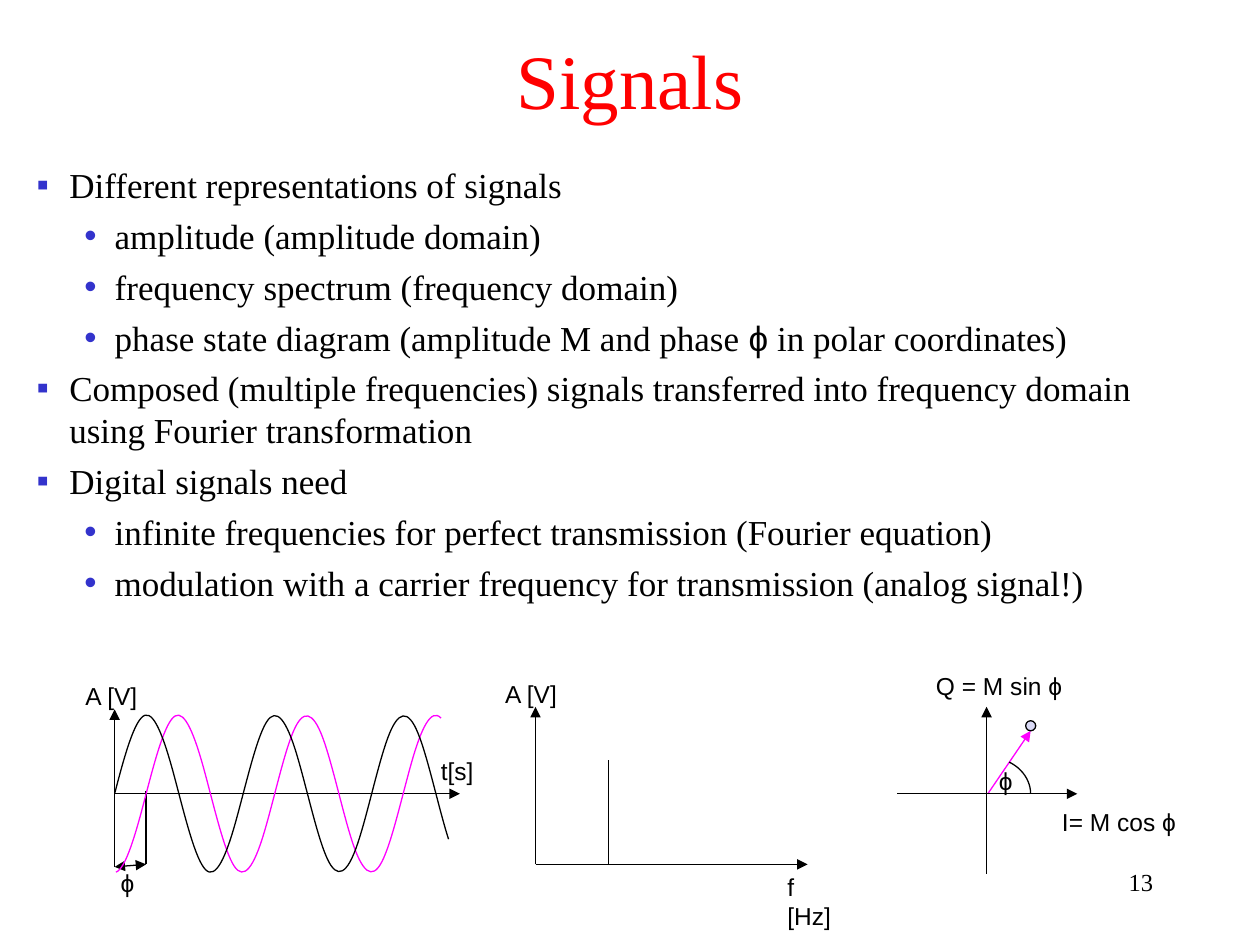
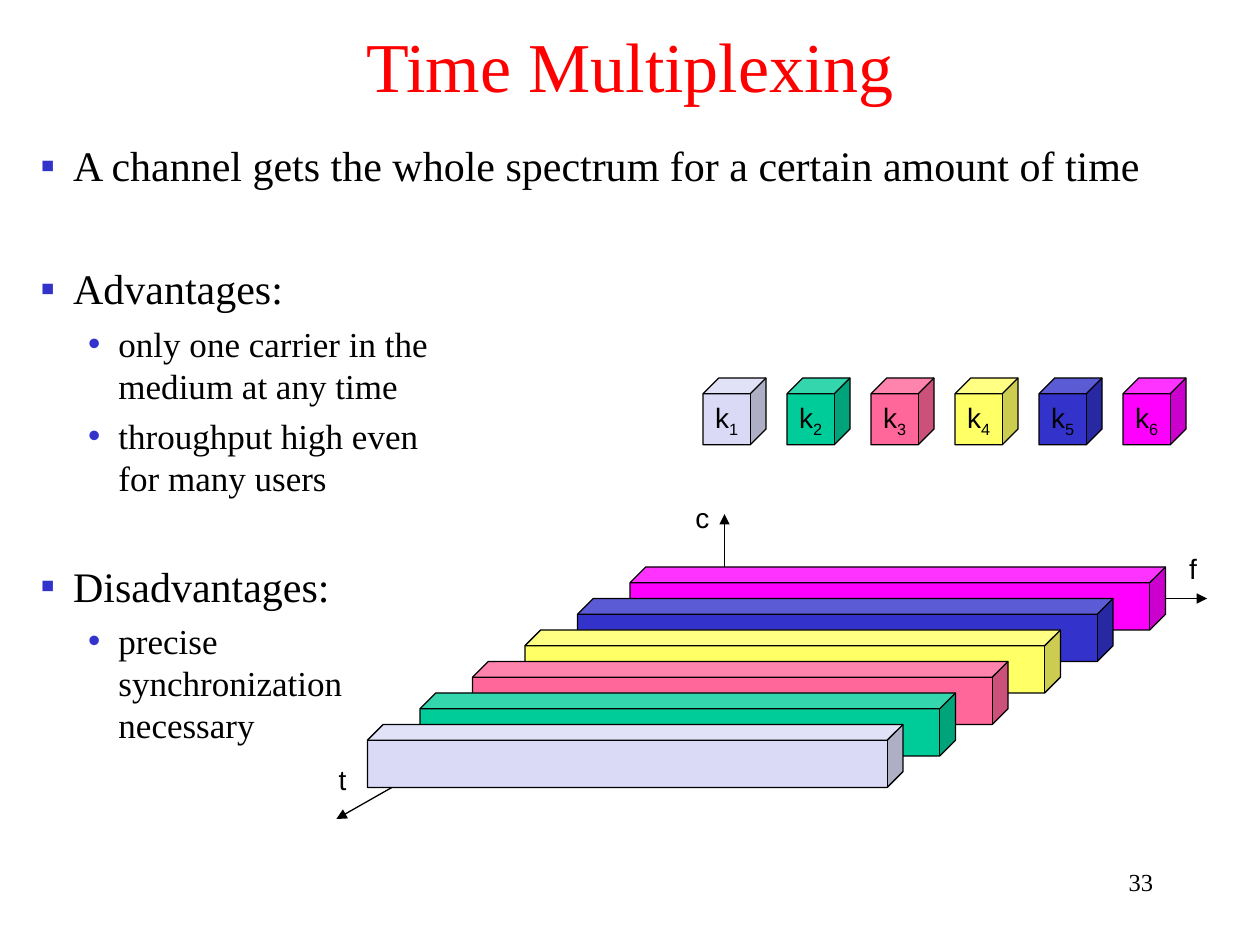
"""Builds two lecture slides on signals and time multiplexing."""
import math

import lxml.etree
import pptx
import pptx.dml.color
import pptx.enum.shapes
import pptx.enum.text
import pptx.oxml.ns
import pptx.util

Inches, Pt = pptx.util.Inches, pptx.util.Pt
RGB = pptx.dml.color.RGBColor.from_string
SubElement, qn = lxml.etree.SubElement, pptx.oxml.ns.qn
SHAPE = pptx.enum.shapes.MSO_SHAPE
ALIGN = pptx.enum.text.PP_ALIGN
ANCHOR = pptx.enum.text.MSO_ANCHOR
FIT = pptx.enum.text.MSO_AUTO_SIZE

COLORS = {"ink": "000000", "title": "FF0000", "blue": "3333CC", "magenta": "FF00FF",
          "lavender": "DADAF6", "green": "00CC99", "pink": "FF6699", "yellow": "FFFF66"}
CHANNELS = ["lavender", "green", "pink", "yellow", "blue", "magenta"]
SERIF, SANS = "Times New Roman", "Arial"
LEVELS = [{"margin": 0.26, "hanging": -0.26, "bullet": "▪"},
          {"margin": 0.62, "hanging": -0.24, "bullet": "•"}]
LINE_WIDTH = Pt(0.75)


def add_text(paragraph, text, size, font=SERIF, color="ink"):
    run = paragraph.add_run()
    run.text = text
    for key, value in {"size": Pt(size), "name": font, "bold": False}.items():
        setattr(run.font, key, value)
    run.font.color.rgb = RGB(COLORS[color])
    return run


def add_label(slide, text, box, size=14, font=SANS, align=ALIGN.LEFT):
    frame = slide.shapes.add_textbox(*map(Inches, box)).text_frame
    frame.word_wrap = align == ALIGN.RIGHT
    frame.auto_size = FIT.NONE if frame.word_wrap else FIT.SHAPE_TO_FIT_TEXT
    frame.paragraphs[0].alignment = align
    add_text(frame.paragraphs[0], text, size, font)


deck = pptx.Presentation()
deck.slide_width, deck.slide_height = Inches(10), Inches(7.5)

# Each point is (level, size, space before, text).
contents = [
    {"title": "Signals", "title_size": 44, "title_height": 1.25, "number": "13",
     "body": (0.19, 1.25, 9.49, 3.89),
     "points": [
         (0, 20, 0, "Different representations of signals"),
         (1, 20, 5, "amplitude (amplitude domain)"),
         (1, 20, 5, "frequency spectrum (frequency domain)"),
         (1, 20, 5, "phase state diagram (amplitude M and phase ϕ in polar coordinates)"),
         (0, 20, 5, "Composed (multiple frequencies) signals transferred into "
                    "frequency domain using Fourier transformation"),
         (0, 20, 5, "Digital signals need"),
         (1, 20, 5, "infinite frequencies for perfect transmission (Fourier equation)"),
         (1, 20, 5, "modulation with a carrier frequency for transmission (analog signal!)")],
     "lines": [
         ((4.25, 6.86), (4.25, 5.61), "ink", ["tail"]),
         ((4.25, 6.86), (6.41, 6.86), "ink", ["tail"]),
         ((4.83, 6.86), (4.83, 6.03), "ink", []),
         ((7.84, 6.3), (8.18, 5.8), "magenta", ["tail"]),
         ((0.91, 6.88), (0.91, 5.63), "ink", ["tail"]),
         ((1.16, 6.28), (1.16, 6.86), "ink", []),
         ((0.91, 6.3), (3.65, 6.3), "ink", ["tail"]),
         ((0.91, 6.88), (1.16, 6.86), "ink", ["head", "tail"]),
         ((7.83, 5.61), (7.83, 6.94), "ink", ["head"]),
         ((7.12, 6.3), (8.55, 6.3), "ink", ["tail"])],
     "labels": [
         ("f [Hz]", (6.15, 6.87, 0.65, 0.34)), ("A [V]", (3.91, 5.34, 0.62, 0.34)),
         ("ϕ", (7.83, 6.03, 0.33, 0.34)), ("I= M cos ϕ", (8.33, 6.36, 1.11, 0.34)),
         ("Q = M sin ϕ", (7.33, 5.28, 1.21, 0.34)), ("ϕ", (0.86, 6.84, 0.33, 0.34)),
         ("A [V]", (0.58, 5.36, 0.62, 0.34)), ("t[s]", (3.4, 5.95, 0.46, 0.34))],
     "label_size": 14},
    {"title": "Time Multiplexing", "title_size": 40, "title_height": 1.03, "number": "33",
     "body": (0.22, 1.06, 9.49, 5.58),
     "points": [
         (0, 24, 0, "A channel gets the whole spectrum for a certain amount of time"),
         (0, 24, 41.5, "Advantages:"),
         (1, 20, 5, "only one carrier in the\nmedium at any time"),
         (1, 20, 5, "throughput high even\nfor many users"),
         (0, 24, 35, "Disadvantages:"),
         (1, 20, 5, "precise\nsynchronization\nnecessary")],
     "lines": [
         ((2.67, 6.5), (5.75, 4.75), "ink", ["head"]),
         ((5.75, 4.08), (5.75, 4.75), "ink", ["head"]),
         ((5.75, 4.75), (9.58, 4.75), "ink", ["tail"])],
     "labels": [
         ("f", (9.34, 4.33, 0.26, 0.37)), ("t", (2.59, 6, 0.26, 0.37)),
         ("c", (5.42, 3.92, 0.31, 0.37))],
     "label_size": 16}]

for content in contents:
    slide = deck.slides.add_slide(deck.slide_layouts[1])
    title, body = slide.placeholders
    boxes = [(title, (0, 0, 10, content["title_height"]), ANCHOR.MIDDLE),
             (body, content["body"], ANCHOR.TOP)]
    for holder, box, anchor in boxes:
        for side, length in zip(("left", "top", "width", "height"), box):
            setattr(holder, side, Inches(length))
        holder.text_frame.auto_size = FIT.NONE
        holder.text_frame.vertical_anchor = anchor
    heading = title.text_frame.paragraphs[0]
    heading.alignment = ALIGN.CENTER
    add_text(heading, content["title"], content["title_size"], SERIF, "title")

    for index, (level, size, space, text) in enumerate(content["points"]):
        frame = body.text_frame
        point = frame.add_paragraph() if index else frame.paragraphs[0]
        layout = {"level": level, "line_spacing": 1.0, "space_before": Pt(space)}
        for key, value in layout.items():
            setattr(point, key, value)
        properties = point._p.get_or_add_pPr()
        properties.set("marL", str(Inches(LEVELS[level]["margin"])))
        properties.set("indent", str(Inches(LEVELS[level]["hanging"])))
        SubElement(SubElement(properties, qn("a:buClr")), qn("a:srgbClr"), val=COLORS["blue"])
        SubElement(properties, qn("a:buFont"), typeface=SANS)
        SubElement(properties, qn("a:buChar"), char=LEVELS[level]["bullet"])
        for row, line in enumerate(text.split("\n")):
            if row:
                point.add_line_break()
                SubElement(point._p[-1], qn("a:rPr"), sz=str(size * 100))
            for piece in filter(None, line.partition("ϕ")):
                add_text(point, piece, size, SANS if piece == "ϕ" else SERIF)

    for start, end, color, arrows in content["lines"]:
        line = slide.shapes.add_connector(pptx.enum.shapes.MSO_CONNECTOR.STRAIGHT,
                                          *map(Inches, start + end))
        line.line.color.rgb = RGB(COLORS[color])
        line.line.width = LINE_WIDTH
        for arrow in arrows:
            SubElement(line.line._get_or_add_ln(), qn(f"a:{arrow}End"), type="triangle")
        SubElement(line._element.spPr, qn("a:effectLst"))
    for text, box in content["labels"]:
        add_label(slide, text, box, content["label_size"])
    add_label(slide, content["number"], (7.17, 6.83, 2.08, 0.5), 14, SERIF, ALIGN.RIGHT)

signals, multiplexing = deck.slides

# Each knot is (x, y, dx, dy): a place on the curve and a third of the step along its tangent.
curves = []
period, amplitude, middle, pieces = 1.02, 0.625, 6.3, 11
for color, first, last, zero in [("magenta", 0.92, 3.5, 1.16), ("ink", 0.91, 3.56, 0.91)]:
    step, speed = (last - first) / pieces, 2 * math.pi / period
    knots = []
    for piece in range(pieces + 1):
        time = first + piece * step
        phase = speed * (time - zero)
        knots.append((time, middle - amplitude * math.sin(phase),
                      step / 3, -amplitude * speed * math.cos(phase) * step / 3))
    curves.append((color, knots))
turn = math.radians(20)
curves.append(("ink", [
    (7.84 + 0.34 * math.cos(angle), middle - 0.29 * math.sin(angle),
     -0.34 * math.sin(angle) * turn / 3, -0.29 * math.cos(angle) * turn / 3)
    for angle in (0, turn, 2 * turn, 3 * turn)]))

for color, knots in curves:
    points = []
    for (x, y, dx, dy), (next_x, next_y, next_dx, next_dy) in zip(knots, knots[1:]):
        points += [(x + dx, y + dy), (next_x - next_dx, next_y - next_dy), (next_x, next_y)]
    builder = signals.shapes.build_freeform(Inches(knots[0][0]), Inches(knots[0][1]))
    builder.add_line_segments([(Inches(x), Inches(y)) for x, y in points], close=False)
    curve = builder.convert_to_shape()
    outline = next(curve._element.iter(qn("a:path")))
    segments = outline.findall(qn("a:lnTo"))
    for index, segment in enumerate(segments):
        if index % 3 == 0:
            bezier = SubElement(outline, qn("a:cubicBezTo"))
        bezier.append(segment[0])
        outline.remove(segment)
    curve.shadow.inherit = False
    curve.fill.background()
    curve.line.color.rgb = RGB(COLORS[color])
    curve.line.width = LINE_WIDTH

solids = [(signals, SHAPE.OVAL, (8.14, 5.72, 0.08, 0.08), "lavender", "")]
for step, color in enumerate(reversed(CHANNELS)):
    box = (5 - step * 5 / 12, 4.5 + step / 4, 4.25, 0.5)
    solids.append((multiplexing, SHAPE.CUBE, box, color, ""))
for step, color in enumerate(CHANNELS):
    box = (5.58 + step * 2 / 3, 3, 0.5, 0.53)
    solids.append((multiplexing, SHAPE.CUBE, box, color, str(step + 1)))
for slide, kind, box, color, channel in solids:
    solid = slide.shapes.add_shape(kind, *map(Inches, box))
    solid.shadow.inherit = False
    solid.fill.solid()
    solid.fill.fore_color.rgb = RGB(COLORS[color])
    solid.line.color.rgb = RGB(COLORS["ink"])
    solid.line.width = LINE_WIDTH
    if channel:
        solid.text_frame.word_wrap = False
        solid.text_frame.vertical_anchor = ANCHOR.MIDDLE
        caption = solid.text_frame.paragraphs[0]
        caption.alignment = ALIGN.CENTER
        add_text(caption, "k", 16, SANS)
        add_text(caption, channel, 16, SANS).font._element.set("baseline", "-25000")

deck.save("out.pptx")
